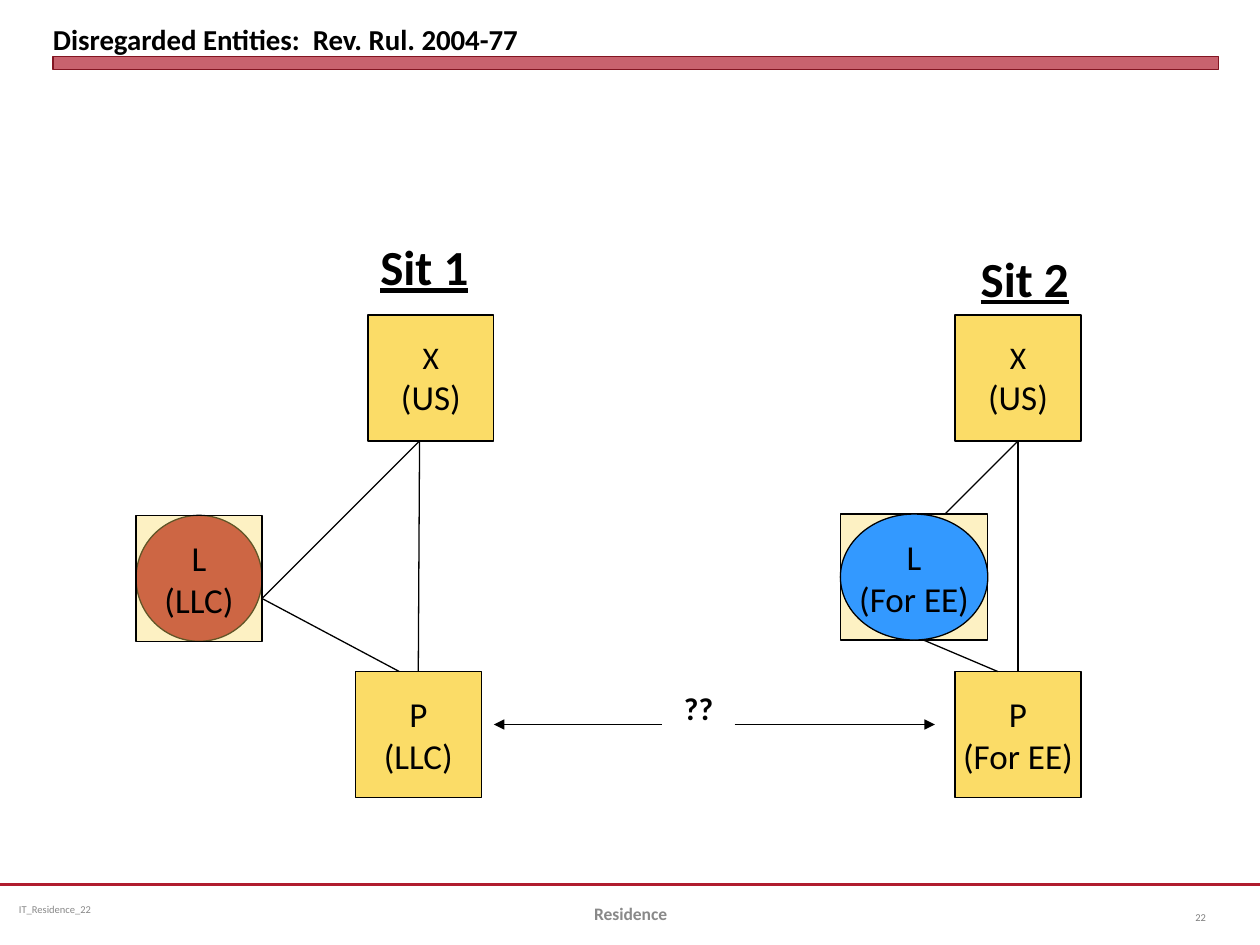
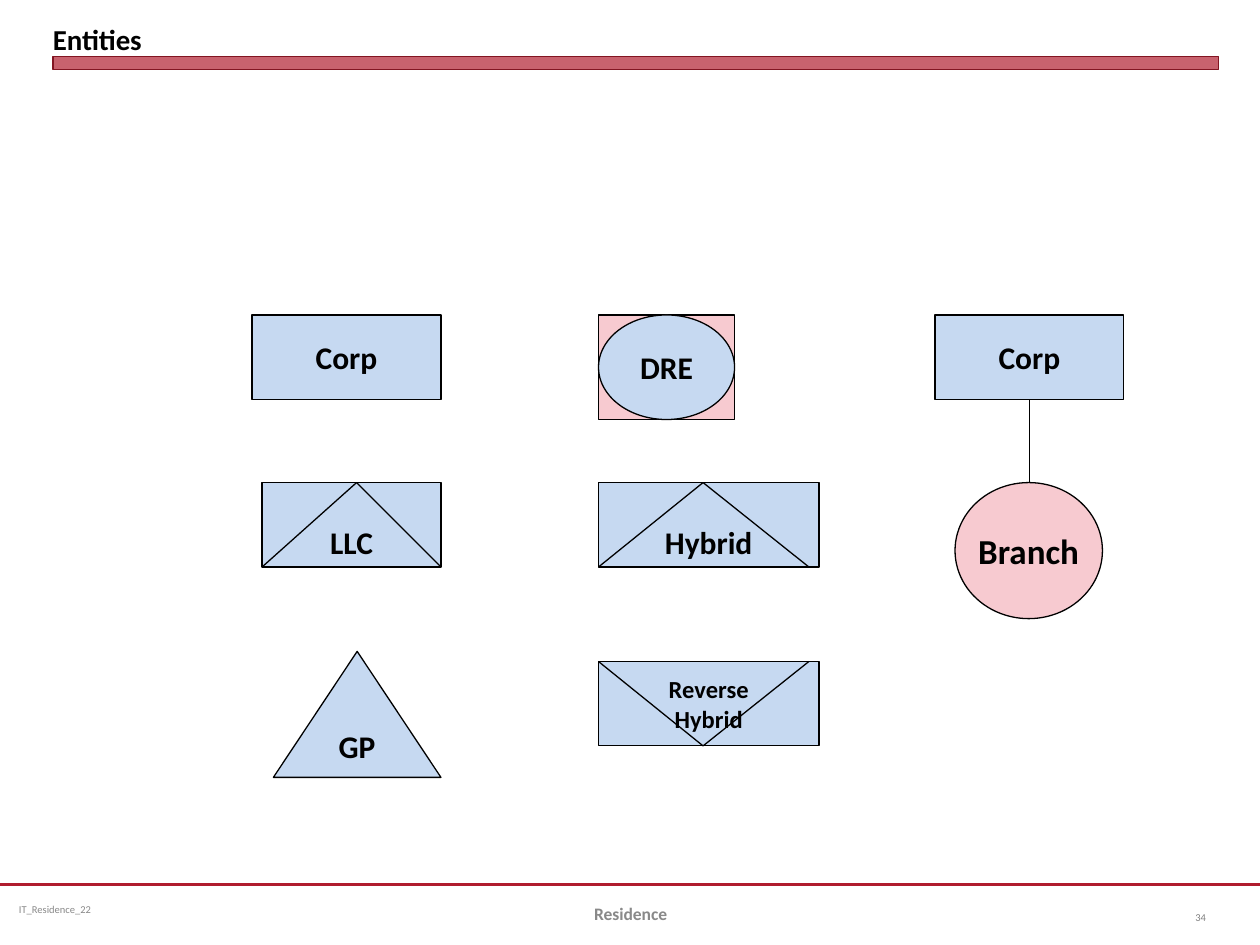
import dataclasses

import pptx
import pptx.dml.color
import pptx.enum.shapes
import pptx.enum.text
import pptx.oxml
import pptx.oxml.ns
import pptx.shapes.autoshape
import pptx.slide
import pptx.text.text
import pptx.util

Inches = pptx.util.Inches
Pt = pptx.util.Pt
Kind = pptx.enum.shapes.MSO_SHAPE
Align = pptx.enum.text.PP_ALIGN
Anchor = pptx.enum.text.MSO_ANCHOR
AutoSize = pptx.enum.text.MSO_AUTO_SIZE

FONT = "Calibri"
BLACK = "000000"
CRIMSON = "B01C2E"
DARK_CRIMSON = "821522"
GOLD = "FBDC67"
BLUE = "3399FF"
PALE_BLUE = "C6D9F1"
PINK = "F7CAD0"
FOOTER_GREY = "898989"
NUMBER_GREY = "808080"

Point = tuple[float, float]
Area = tuple[float, float, float, float]


@dataclasses.dataclass(frozen=True)
class TextStyle:
    sizes: tuple[float, ...] = (20,)
    color: str = BLACK
    bold: bool = False
    underline: bool = False
    align: Align = Align.CENTER
    anchor: Anchor = Anchor.MIDDLE


@dataclasses.dataclass(frozen=True)
class Entity:
    area: Area
    fill: str
    text: str = ""
    style: TextStyle = TextStyle()
    kind: Kind = Kind.RECTANGLE
    opacity: int = 100
    outline: str = BLACK
    outline_width: float = 0.75


@dataclasses.dataclass(frozen=True)
class Link:
    start: Point
    end: Point
    arrow: bool = False
    color: str = BLACK
    width: float = 0.75


@dataclasses.dataclass(frozen=True)
class Label:
    area: Area
    text: str
    style: TextStyle
    fitted: bool = False
    insets: Point = (0.1, 0.05)


def rgb(color: str) -> pptx.dml.color.RGBColor:
    return pptx.dml.color.RGBColor.from_string(color)


def write_text(frame: pptx.text.text.TextFrame, text: str, style: TextStyle) -> None:
    frame.text = text
    frame.vertical_anchor = style.anchor
    for index, para in enumerate(frame.paragraphs):
        para.alignment = style.align
        for span in para.runs:
            span.font.name = FONT
            span.font.size = Pt(style.sizes[min(index, len(style.sizes) - 1)])
            span.font.bold = style.bold
            span.font.underline = style.underline
            span.font.color.rgb = rgb(style.color)


def draw_entity(page: pptx.slide.Slide, entity: Entity) -> None:
    box = page.shapes.add_shape(entity.kind, *map(Inches, entity.area))
    box.shadow.inherit = False
    box.fill.solid()
    box.fill.fore_color.rgb = rgb(entity.fill)
    box.line.color.rgb = rgb(entity.outline)
    box.line.width = Pt(entity.outline_width)
    if entity.opacity < 100:
        color = box.fill._xPr.find(".//" + pptx.oxml.ns.qn("a:srgbClr"))
        alpha = pptx.oxml.parse_xml(
            f'<a:alpha {pptx.oxml.ns.nsdecls("a")} val="{entity.opacity * 1000}"/>')
        color.append(alpha)
    if entity.text:
        box.text_frame.word_wrap = False
        write_text(box.text_frame, entity.text, entity.style)


def draw_link(page: pptx.slide.Slide, link: Link) -> None:
    line = page.shapes.add_connector(
        pptx.enum.shapes.MSO_CONNECTOR.STRAIGHT, *map(Inches, link.start + link.end))
    line.line.color.rgb = rgb(link.color)
    line.line.width = Pt(link.width)
    names = pptx.oxml.ns.nsdecls("a")
    if link.arrow:
        line.line._get_or_add_ln().append(
            pptx.oxml.parse_xml(f'<a:tailEnd {names} type="triangle"/>'))
    line._element.spPr.append(pptx.oxml.parse_xml(f"<a:effectLst {names}/>"))


def draw_label(page: pptx.slide.Slide, label: Label) -> None:
    frame = page.shapes.add_textbox(*map(Inches, label.area)).text_frame
    frame.word_wrap = not label.fitted
    frame.auto_size = AutoSize.SHAPE_TO_FIT_TEXT if label.fitted else AutoSize.NONE
    frame.margin_left = frame.margin_right = Inches(label.insets[0])
    frame.margin_top = frame.margin_bottom = Inches(label.insets[1])
    write_text(frame, label.text, label.style)


def draw_all(page: pptx.slide.Slide, items: list[Entity | Link | Label]) -> None:
    painters = {Entity: draw_entity, Link: draw_link, Label: draw_label}
    for item in items:
        painters[type(item)](page, item)


def add_page(deck: pptx.presentation.Presentation, title: str, number: str) -> pptx.slide.Slide:
    page = deck.slides.add_slide(deck.slide_layouts.get_by_name("Title Only"))
    heading = page.shapes.title
    heading.left, heading.top, heading.width, heading.height = map(
        Inches, (0.42, 0.05, 9.25, 0.4))
    frame = heading.text_frame
    frame.margin_left = frame.margin_right = frame.margin_top = frame.margin_bottom = 0
    frame.auto_size = AutoSize.NONE
    write_text(frame, title, TextStyle((16.5,), bold=True, align=Align.LEFT, anchor=Anchor.BOTTOM))
    draw_all(page, [
        Entity((0.42, 0.45, 9.25, 0.1), CRIMSON, opacity=69, outline=DARK_CRIMSON, outline_width=0),
        Link((0, 7.02), (10, 7.02), color=CRIMSON, width=1.25),
        Label((0.08, 7.02, 2.58, 0.4), "IT_Residence_22",
              TextStyle((6,), FOOTER_GREY, align=Align.LEFT), insets=(0.07, 0.04)),
        Label((3.42, 7.05, 3.17, 0.4), "Residence", TextStyle((10,), FOOTER_GREY, bold=True)),
        Label((9.17, 7.08, 0.5, 0.4), number, TextStyle((6,), NUMBER_GREY, align=Align.RIGHT)),
    ])
    return page


def draw_situations(page: pptx.slide.Slide) -> None:
    owner = TextStyle((18, 20))
    heading = TextStyle((28,), bold=True, underline=True, align=Align.LEFT, anchor=Anchor.TOP)
    first_llc = (1.08, 4.09, 1, 1)
    second_entity = (6.67, 4.08, 1.17, 1)
    draw_all(page, [
        Entity((2.92, 2.5, 1, 1), GOLD, "X\n(US)", owner),
        Entity(first_llc, CRIMSON, kind=Kind.OVAL),
        Link((3.33, 3.5), (2.08, 4.75)),
        Entity((2.82, 5.33, 1, 1), GOLD, "P\n(LLC)"),
        Entity(first_llc, GOLD, "L\n(LLC)", opacity=39),
        Link((3.33, 3.5), (3.32, 5.33)),
        Link((2.08, 4.75), (3.17, 5.33)),
        Entity((7.58, 2.5, 1, 1), GOLD, "X\n(US)", owner),
        Link((8.08, 3.5), (7.5, 4.08)),
        Entity((7.58, 5.33, 1, 1), GOLD, "P\n(For EE)"),
        Entity(second_entity, GOLD, opacity=39),
        Link((8.08, 3.5), (8.08, 5.33)),
        Link((7.33, 5.08), (7.92, 5.33)),
        Entity(second_entity, BLUE, "L\n(For EE)", kind=Kind.OVAL),
        Label((2.92, 1.83, 0.91, 0.57), "Sit 1", heading, True),
        Label((7.67, 1.92, 0.91, 0.57), "Sit 2",
              dataclasses.replace(heading, align=Align.RIGHT), True),
        Link((5.25, 5.75), (3.92, 5.75), arrow=True),
        Link((5.83, 5.75), (7.42, 5.75), arrow=True),
        Label((5.33, 5.42, 0.53, 0.5), "??",
              dataclasses.replace(heading, sizes=(18,), underline=False), True),
    ])


def chevron(apex: Point, left: float, right: float, base: float) -> list[Link]:
    return [Link(apex, (side, base)) for side in (left, right)]


def draw_entity_symbols(page: pptx.slide.Slide) -> None:
    name = TextStyle((18,), bold=True)
    low_name = dataclasses.replace(name, anchor=Anchor.BOTTOM)
    disregarded = (4.75, 2.5, 1.08, 0.83)
    draw_all(page, [
        Entity((2, 2.5, 1.5, 0.67), PALE_BLUE, "Corp", name),
        Entity((2.08, 3.83, 1.42, 0.67), PALE_BLUE, "LLC", low_name),
        Entity((2.17, 5.17, 1.33, 1), PALE_BLUE, "GP", name, Kind.ISOSCELES_TRIANGLE),
        *chevron((2.83, 3.83), 2.08, 3.5, 4.5),
        Entity(disregarded, PINK),
        Entity(disregarded, PALE_BLUE, "DRE", name, Kind.OVAL),
        Entity((4.75, 3.83, 1.75, 0.67), PALE_BLUE, "Hybrid", low_name),
        *chevron((5.58, 3.83), 4.75, 6.42, 4.5),
        Entity((4.75, 5.25, 1.75, 0.67), PALE_BLUE, "Reverse\nHybrid",
               dataclasses.replace(name, sizes=(14,))),
        *chevron((5.58, 5.92), 4.75, 6.42, 5.25),
        Entity((7.42, 2.5, 1.5, 0.67), PALE_BLUE, "Corp", name),
        Link((8.17, 3.17), (8.17, 3.83)),
        Entity((7.58, 3.83, 1.17, 1.08), PINK, "Branch",
               dataclasses.replace(name, sizes=(20,)), Kind.OVAL),
    ])


def main() -> None:
    deck = pptx.Presentation()
    deck.slide_width = Inches(10)
    deck.slide_height = Inches(7.5)
    draw_situations(add_page(deck, "Disregarded Entities:  Rev. Rul. 2004-77", "22"))
    draw_entity_symbols(add_page(deck, "Entities", "34"))
    deck.save("out.pptx")


if __name__ == "__main__":
    main()
